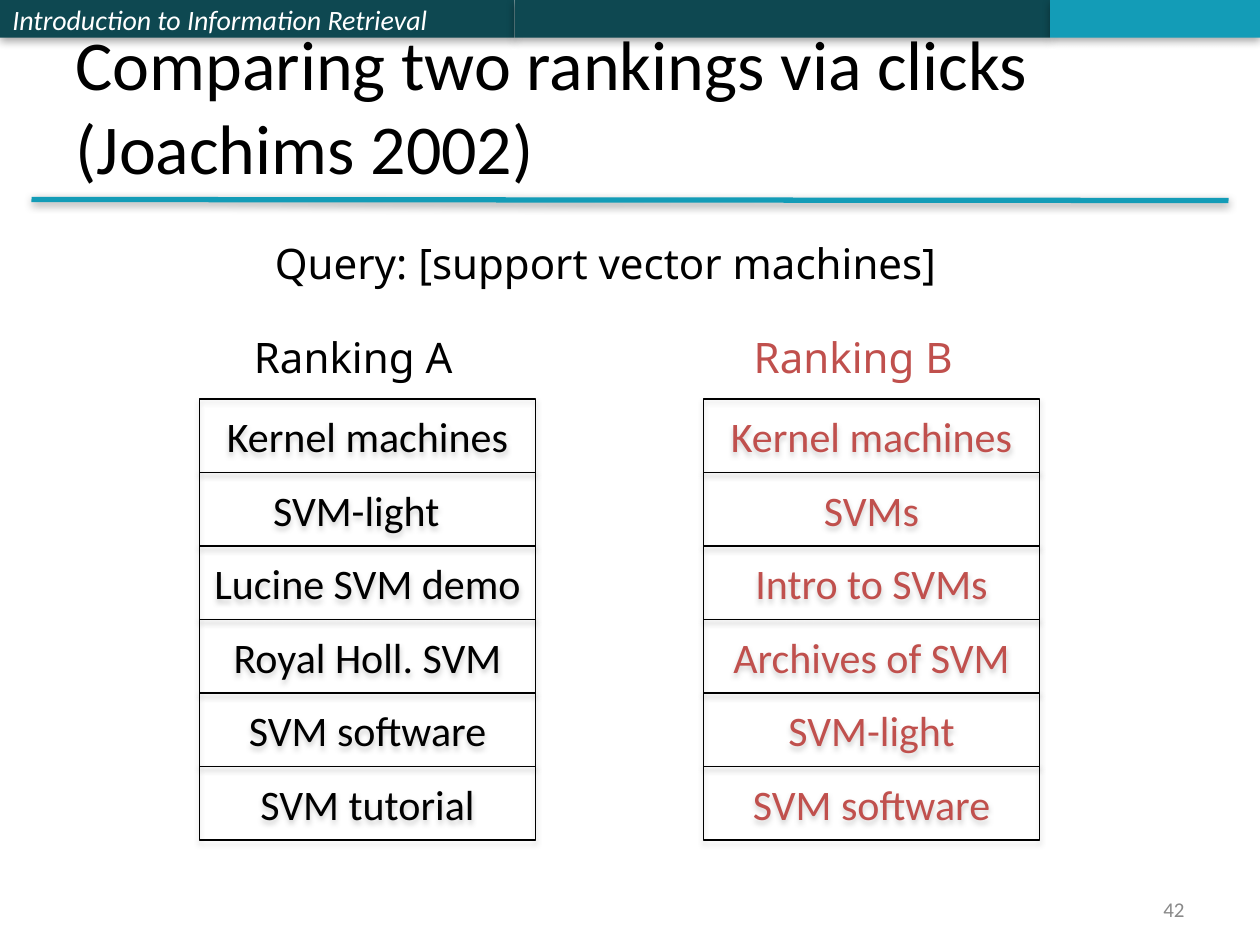
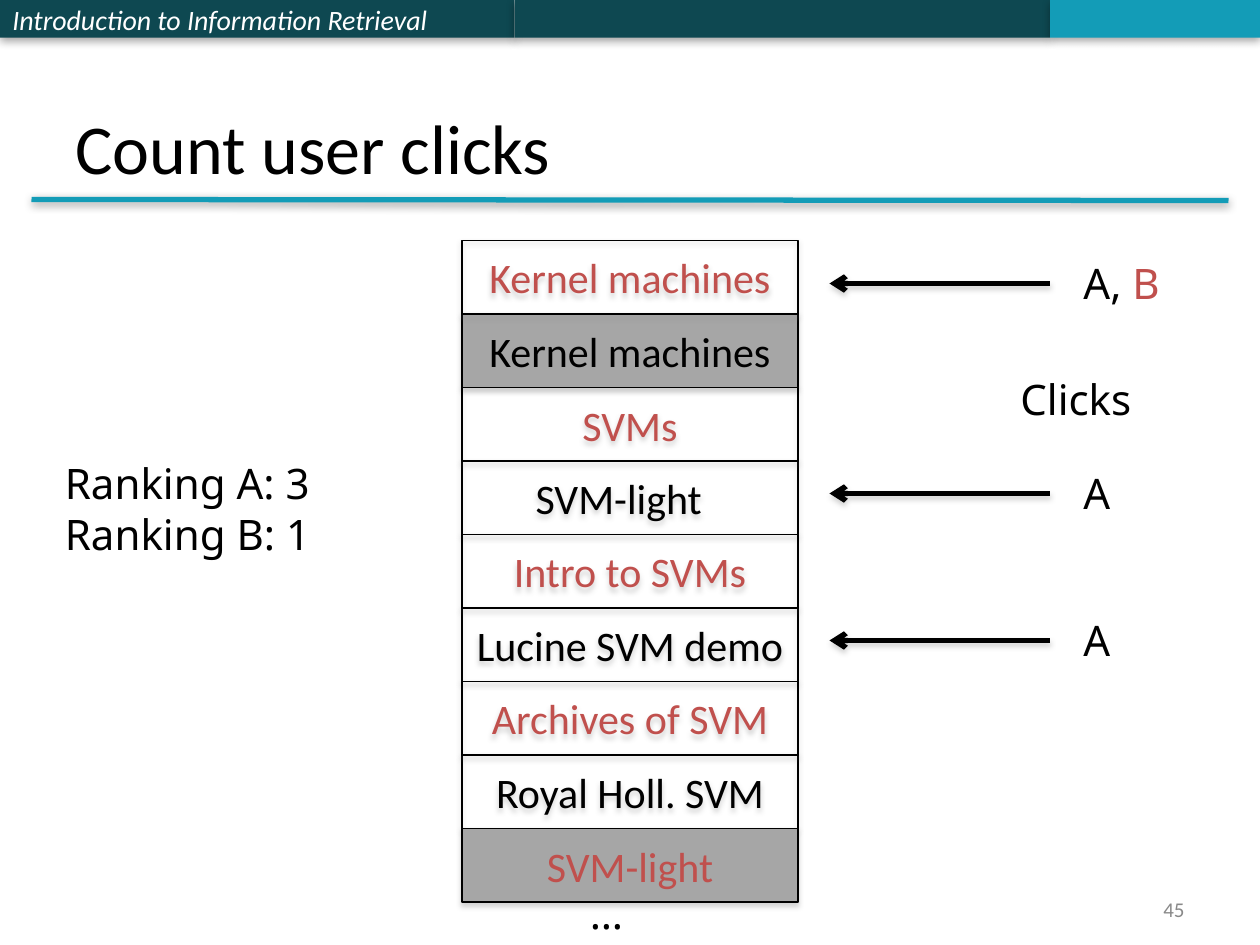
from pptx import Presentation
from pptx.dml.color import RGBColor
from pptx.enum.shapes import MSO_CONNECTOR, MSO_SHAPE
from pptx.enum.text import MSO_ANCHOR, MSO_AUTO_SIZE, PP_ALIGN
from pptx.oxml import parse_xml
from pptx.oxml.ns import nsdecls
from pptx.util import Pt

RECT = MSO_SHAPE.RECTANGLE
LINE = MSO_CONNECTOR.STRAIGHT
LEFT, MID, RIGHT = PP_ALIGN.LEFT, PP_ALIGN.CENTER, PP_ALIGN.RIGHT
CENTER, BOTTOM, TOP = MSO_ANCHOR.MIDDLE, MSO_ANCHOR.BOTTOM, MSO_ANCHOR.TOP
FIT, FIXED = MSO_AUTO_SIZE.SHAPE_TO_FIT_TEXT, MSO_AUTO_SIZE.NONE

SCALE = 7620
COLORS = {
    "dark": "0E4851", "teal": "139CB7", "white": "FFFFFF", "black": "000000",
    "red": "C0504D", "gray": "A6A6A6", "number": "898989", "shade": "808080",
}
FONTS = {
    "band": {"name": "Calibri", "size": Pt(16), "italic": True},
    "title": {"name": "Calibri", "size": Pt(40)},
    "number": {"name": "Calibri", "size": Pt(12)},
    "row": {"name": "Calibri", "size": Pt(24)},
    "label": {"name": "Noto Sans", "size": Pt(24)},
}
SHADOWS = {
    "band": ("black", 35, 5, 1.8),
    "rule": ("black", 38, 5, 1.6),
    "row": ("shade", 35, 3.1, 1.8),
}
ROW_W, ROW_H = 320, 70


def px(*nums):
    """Turn pixel lengths into EMU."""
    return [num * SCALE for num in nums]


def rgb(key):
    """Look up a colour."""
    return RGBColor.from_string(COLORS[key])


def shade(shape, kind):
    """Give a shape a soft shadow straight below it."""
    color, alpha, blur, dist = SHADOWS[kind]
    shape._element.spPr.append(parse_xml(
        f'<a:effectLst {nsdecls("a")}><a:outerShdw blurRad="{Pt(blur)}" '
        f'dist="{Pt(dist)}" dir="5400000" rotWithShape="0">'
        f'<a:srgbClr val="{COLORS[color]}"><a:alpha val="{alpha * 1000}"/>'
        '</a:srgbClr></a:outerShdw></a:effectLst>'))


def write(frame, parts, font, align=LEFT, anchor=TOP, wrap=True, size=FIXED):
    """Fill a text frame with (text, colour) parts of one paragraph."""
    form = {"word_wrap": wrap, "auto_size": size, "vertical_anchor": anchor}
    for name, value in form.items():
        setattr(frame, name, value)
    para = frame.paragraphs[0]
    para.alignment = align
    for number, (text, color) in enumerate(parts):
        for index, piece in enumerate(text.split("\n")):
            if index:
                para.add_line_break()
            run = para.add_run()
            run.text = piece
            for name, value in FONTS[font].items():
                setattr(run.font, name, value)
            run.font.color.rgb = rgb(color)


def block(slide, box, fill, edge, kind):
    """Draw a shadowed rectangle."""
    shape = slide.shapes.add_shape(RECT, *px(*box))
    if fill:
        shape.fill.solid()
        shape.fill.fore_color.rgb = rgb(fill)
    else:
        shape.fill.background()
    if edge:
        shape.line.color.rgb = rgb(edge)
        shape.line.width = Pt(0.75)
    else:
        shape.line.fill.background()
    shade(shape, kind)
    return shape


def stroke(slide, ends, color, kind, arrow=False):
    """Draw a thick line, with an arrowhead at its end if asked."""
    line = slide.shapes.add_connector(LINE, *px(*ends))
    line.line.color.rgb = rgb(color)
    line.line.width = Pt(3)
    if arrow:
        line.line._get_or_add_ln().append(
            parse_xml(f'<a:tailEnd {nsdecls("a")} type="arrow"/>'))
    shade(line, kind)


def label(slide, box, *parts):
    """Place free text that does not wrap."""
    area = slide.shapes.add_textbox(*px(*box))
    write(area.text_frame, parts, "label", wrap=False, size=FIT)


def frame(deck, title, number):
    """Start a slide with its band, rule, title and number."""
    slide = deck.slides.add_slide(deck.slide_layouts[5])
    left = 0
    for width, fill in ((490, "dark"), (510, "dark"), (200, "teal")):
        band = block(slide, (left, 0, width, 36), fill, None, "band")
        if not left:
            write(band.text_frame,
                  [("Introduction to Information Retrieval", "white")],
                  "band", anchor=CENTER)
        left += width
    stroke(slide, (30, 190, 1140 + 30, 191), "teal", "rule")
    head = slide.shapes.title
    head.left, head.top, head.width, head.height = px(60, 36, 1080, 150)
    write(head.text_frame, [(title, "black")], "title", anchor=BOTTOM)
    foot = slide.shapes.add_textbox(*px(860, 850, 280, 32))
    write(foot.text_frame, [(str(number), "number")], "number", RIGHT, CENTER)
    return slide


def stack(slide, left, top, rows):
    """Pile up (text, colour, fill) rows, black ones behind red ones."""
    order = sorted(enumerate(rows), key=lambda item: item[1][1] == "red")
    for index, (text, color, fill) in order:
        box = (left, top + index * ROW_H, ROW_W, ROW_H)
        row = block(slide, box, fill, "black", "row")
        write(row.text_frame, [(text, color)], "row", MID, CENTER)


def compare(deck):
    """Build the slide with two rankings side by side."""
    slide = frame(deck, "Comparing two rankings via clicks\n(Joachims 2002)", 42)
    ranks = (
        (190, "black", ("Kernel machines", "SVM-light\t", "Lucine SVM demo",
                        "Royal Holl. SVM", "SVM software", "SVM tutorial")),
        (670, "red", ("Kernel machines", "SVMs", "Intro to SVMs",
                      "Archives of SVM", "SVM-light", "SVM software")),
    )
    for left, color, names in ranks:
        stack(slide, left, 380, [(name, color, None) for name in names])
    label(slide, (250, 220, 677, 61),
          ("Query: [support vector machines]", "black"))
    label(slide, (230, 310, 224, 61), ("Ranking A", "black"))
    label(slide, (706, 310, 220, 61), ("Ranking B", "red"))


def count(deck):
    """Build the slide with the merged ranking and its clicks."""
    slide = frame(deck, "Count user clicks", 45)
    stack(slide, 440, 229, (
        ("Kernel machines", "red", None),
        ("Kernel machines", "black", "gray"),
        ("SVMs", "red", None),
        ("SVM-light\t", "black", None),
        ("Intro to SVMs", "red", None),
        ("Lucine SVM demo", "black", None),
        ("Archives of SVM", "red", None),
        ("Royal Holl. SVM", "black", None),
        ("SVM-light", "red", "gray"),
    ))
    label(slide, (550, 839, 65, 61), ("…", "black"))
    clicks = (
        (270, 102, (("A, ", "black"), ("B", "red"))),
        (470, 53, (("A", "black"),)),
        (610, 53, (("A", "black"),)),
    )
    for top, width, parts in clicks:
        stroke(slide, (1000, top, 790, top), "black", "row", arrow=True)
        label(slide, (1020, top - 31, width, 61), *parts)
    label(slide, (960, 350, 140, 61), ("Clicks", "black"))
    label(slide, (50, 430, 275, 109), ("Ranking A: 3\nRanking B: 1", "black"))


def main():
    """Build and save the deck."""
    deck = Presentation()
    deck.slide_width, deck.slide_height = px(1200, 900)
    compare(deck)
    count(deck)
    deck.save("out.pptx")


if __name__ == "__main__":
    main()
